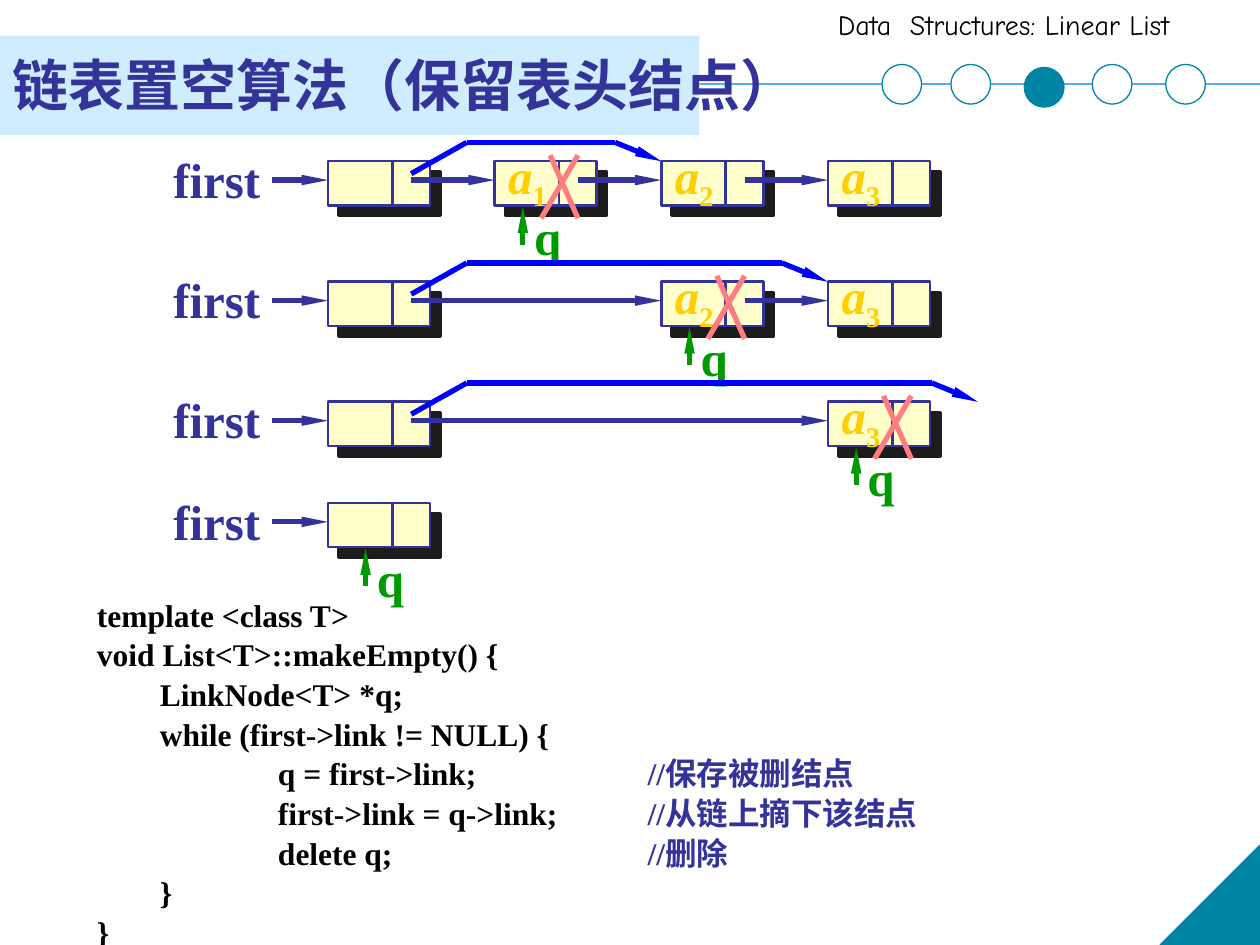
from lxml import etree
from pptx import Presentation
from pptx.dml.color import RGBColor
from pptx.enum.shapes import MSO_CONNECTOR, MSO_SHAPE
from pptx.enum.text import MSO_ANCHOR, MSO_AUTO_SIZE, PP_ALIGN
from pptx.oxml import parse_xml
from pptx.oxml.ns import qn
from pptx.util import Cm, Pt

FONT = "Times New Roman"
NAVY, TEAL, BLUE, GREEN = "333399", "0085A4", "0000FF", "009900"
PINK, GOLD, CREAM, BLACK, WHITE = "FF7C80", "FFCF01", "FFFFCC", "000000", "FFFFFF"
NS = "http://schemas.openxmlformats.org/drawingml/2006/main"

TITLE = "链表置空算法（保留表头结点）"
HEADER = "Data  Structures: Linear List"
CODE = [
    (0, "template <class T>", ""),
    (0, "void List<T>::makeEmpty() {", ""),
    (1, "LinkNode<T> *q;", ""),
    (1, "while (first->link != NULL) {", ""),
    (2, "q = first->link;", "//保存被删结点"),
    (2, "first->link = q->link;", "//从链上摘下该结点"),
    (2, "delete q;", "//删除"),
    (1, "}", ""),
    (0, "}", ""),
]
INDENTS = [0, 1.27, 3.65]
COMMENT_X = 11.1
DOTS = [17.78, 19.17, 20.65, 22.02, 23.5]
CURRENT_DOT = 2

ROWS = [
    {"top": 3.25, "slots": [0, 1, 2, 3], "bypass": 2, "q": 1},
    {"top": 5.68, "slots": [0, 2, 3], "bypass": 3, "q": 2},
    {"top": 8.1, "slots": [0, 3], "bypass": 3.9, "q": 3},
    {"top": 10.14, "slots": [0], "bypass": None, "q": 0},
]
LEFT, PITCH = 6.61, 3.36
CELL_W, CELL_H, SPLIT, LINK, MID = 2.06, 0.89, 1.3, 1.68, 0.38
LABEL_H = 1.47


def rgb(color):
    return RGBColor.from_string(color)


def slot_x(slot):
    return LEFT + slot * PITCH


def add_box(s, kind, x, y, w, h, fill, line=None, width=0.75):
    sp = s.shapes.add_shape(kind, Cm(x), Cm(y), Cm(w), Cm(h))
    sp.shadow.inherit = False
    sp.fill.solid()
    sp.fill.fore_color.rgb = rgb(fill)
    if line:
        sp.line.color.rgb = rgb(line)
        sp.line.width = Pt(width)
    else:
        sp.line.fill.background()
    return sp


def add_line(s, x1, y1, x2, y2, color, width=3, arrow=False):
    c = s.shapes.add_connector(MSO_CONNECTOR.STRAIGHT, Cm(x1), Cm(y1), Cm(x2), Cm(y2))
    c.line.color.rgb = rgb(color)
    c.line.width = Pt(width)
    if arrow:
        etree.SubElement(c.line._get_or_add_ln(), qn("a:tailEnd"), type="triangle", w="sm", len="lg")
    etree.SubElement(c.element.spPr, qn("a:effectLst"))


def style(font, size, color, bold=True, name=FONT):
    font.size, font.bold, font.name = Pt(size), bold, name
    font.color.rgb = rgb(color)


def add_label(s, text, x, y, w, color, sub=""):
    tf = s.shapes.add_textbox(Cm(x), Cm(y), Cm(w), Cm(LABEL_H)).text_frame
    tf.word_wrap = False
    tf.vertical_anchor = MSO_ANCHOR.MIDDLE
    p = tf.paragraphs[0]
    p.alignment = PP_ALIGN.CENTER
    style(p.font, 28, color)
    r = p.add_run()
    r.text = text
    if sub:
        r.font.italic = True
        r = p.add_run()
        r.text = sub
        r.font._element.set("baseline", "-25000")


def add_node(s, x, y):
    sp = add_box(s, MSO_SHAPE.RECTANGLE, x, y, CELL_W, CELL_H, CREAM, NAVY, 1.5)
    effects = sp.element.spPr.find(qn("a:effectLst"))
    effects.append(parse_xml(
        f'<a:outerShdw xmlns:a="{NS}" dist="107950" dir="2700000" algn="ctr" rotWithShape="0">'
        '<a:srgbClr val="1C1C1C"/></a:outerShdw>'))
    add_line(s, x + SPLIT, y, x + SPLIT, y + CELL_H, NAVY, 1.5)


def add_row(s, top, slots, bypass, q):
    mid, peak = top + MID, top - MID
    for slot in slots:
        add_node(s, slot_x(slot), top)
    for a, b in zip(slots, slots[1:]):
        add_line(s, slot_x(a) + LINK, mid, slot_x(b), mid, NAVY, arrow=True)
    add_line(s, 5.49, mid, LEFT, mid, NAVY, arrow=True)
    add_label(s, "first", 3.14, peak, 2.46, NAVY)
    for slot in slots[1:]:
        add_label(s, "a", slot_x(slot) - 0.06, peak, 1.45, GOLD, str(slot))
    if bypass:
        end = slot_x(bypass)
        points = [(LEFT + LINK, top + 0.25), (LEFT + 2.8, peak), (end - 0.93, peak), (end, top)]
        for i, (a, b) in enumerate(zip(points, points[1:])):
            add_line(s, *a, *b, BLUE, arrow=i == 2)
        x = slot_x(q)
        add_line(s, x + 1.68, top - 0.12, x + 0.94, top + 1.15, PINK)
        add_line(s, x + 1.12, top - 0.12, x + 1.68, top + 1.15, PINK)
    tip = slot_x(q) + (0.57 if q else 0.76)
    add_line(s, tip, top + 1.68, tip, top + 0.92, GREEN, arrow=True)
    add_label(s, "q", tip - 0.07, top + 0.78, 1.14, GREEN)


def place(sp, x, y, w, h):
    sp.left, sp.top, sp.width, sp.height = Cm(x), Cm(y), Cm(w), Cm(h)
    sp.element.getparent().append(sp.element)
    tf = sp.text_frame
    tf.word_wrap = True
    tf.auto_size = MSO_AUTO_SIZE.NONE
    return tf


def add_frame(s):
    add_line(s, 0, 1.7, 25.4, 1.7, "5AAAED", 1)
    corner = add_box(s, MSO_SHAPE.RIGHT_TRIANGLE, 23.39, 17.04, 2.01, 2.01, TEAL, TEAL)
    corner.element.spPr.xfrm.set("flipH", "1")
    tf = s.shapes.add_textbox(Cm(16.64), Cm(0.03), Cm(8.76), Cm(0.94)).text_frame
    tf.word_wrap = True
    tf.text = HEADER
    style(tf.paragraphs[0].font, 16, BLACK, False, "Comic Neue")
    add_box(s, MSO_SHAPE.RECTANGLE, 0, 0.72, 14.1, 2, "CFEDFE")
    for i, x in enumerate(DOTS):
        current = i == CURRENT_DOT
        add_box(s, MSO_SHAPE.OVAL, x, 1.36 if current else 1.3, 0.8, 0.8,
                TEAL if current else WHITE, TEAL)


def fill_title(sp):
    tf = place(sp, 0, 0.12, 22.86, 2.39)
    tf.vertical_anchor = MSO_ANCHOR.BOTTOM
    tf.text = TITLE
    p = tf.paragraphs[0]
    p.alignment = PP_ALIGN.LEFT
    style(p.font, 32, NAVY)


def fill_code(sp):
    tf = place(sp, 1.7, 11.84, 22.23, 6.96)
    tf.vertical_anchor = MSO_ANCHOR.TOP
    for i, (level, code, comment) in enumerate(CODE):
        p = tf.add_paragraph() if i else tf.paragraphs[0]
        p.line_spacing = 1.05
        p.space_before = Pt(0)
        style(p.font, 18, BLACK)
        start = INDENTS[level]
        margin = COMMENT_X if comment else start
        pPr = p._p.get_or_add_pPr()
        pPr.set("marL", str(Cm(margin)))
        pPr.set("indent", str(Cm(start - margin)))
        pPr.find(qn("a:defRPr")).addprevious(etree.Element(qn("a:buNone")))
        p.add_run().text = code
        if comment:
            p.runs[0].text = code + "\t"
            r = p.add_run()
            r.text = comment
            r.font.color.rgb = rgb(NAVY)


def main():
    prs = Presentation()
    prs.slide_width, prs.slide_height = Cm(25.4), Cm(19.05)
    s = prs.slides.add_slide(prs.slide_layouts[1])
    title, body = s.placeholders
    add_frame(s)
    fill_code(body)
    fill_title(title)
    for row in ROWS:
        add_row(s, **row)
    prs.save("out.pptx")


if __name__ == "__main__":
    main()
